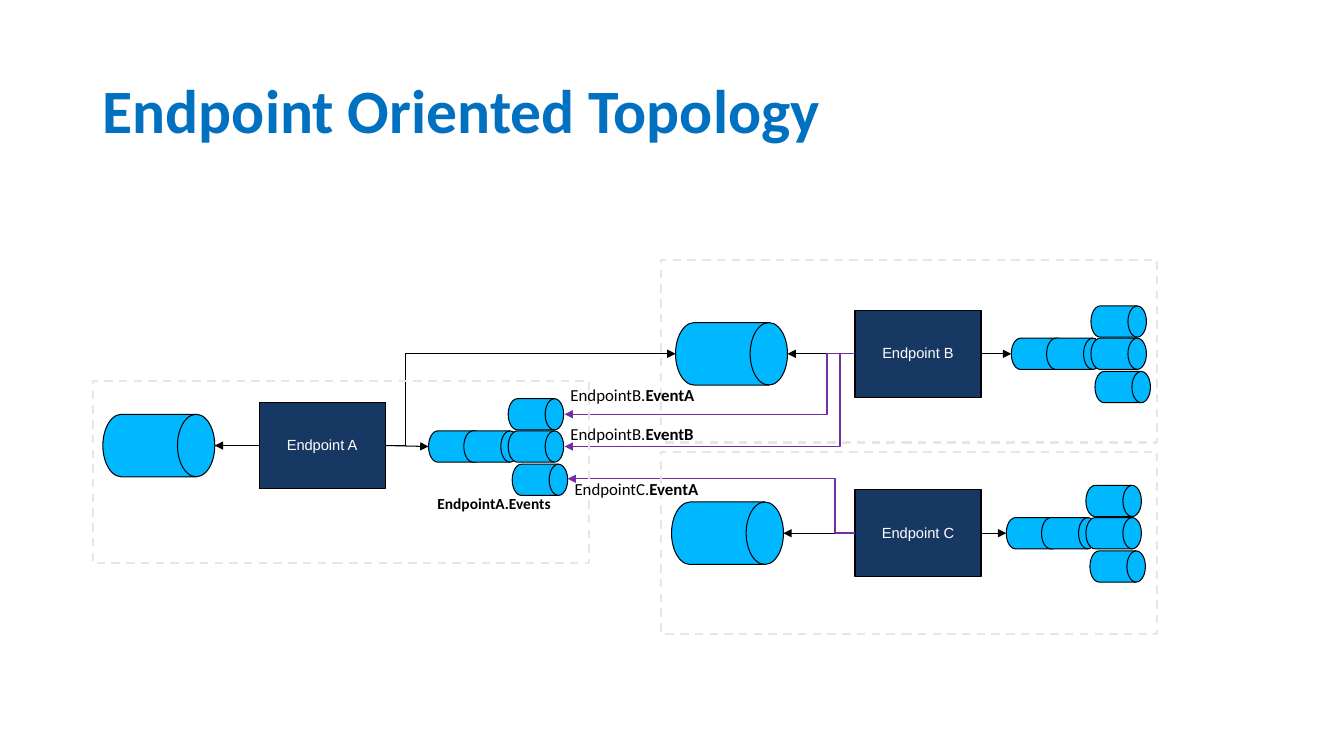
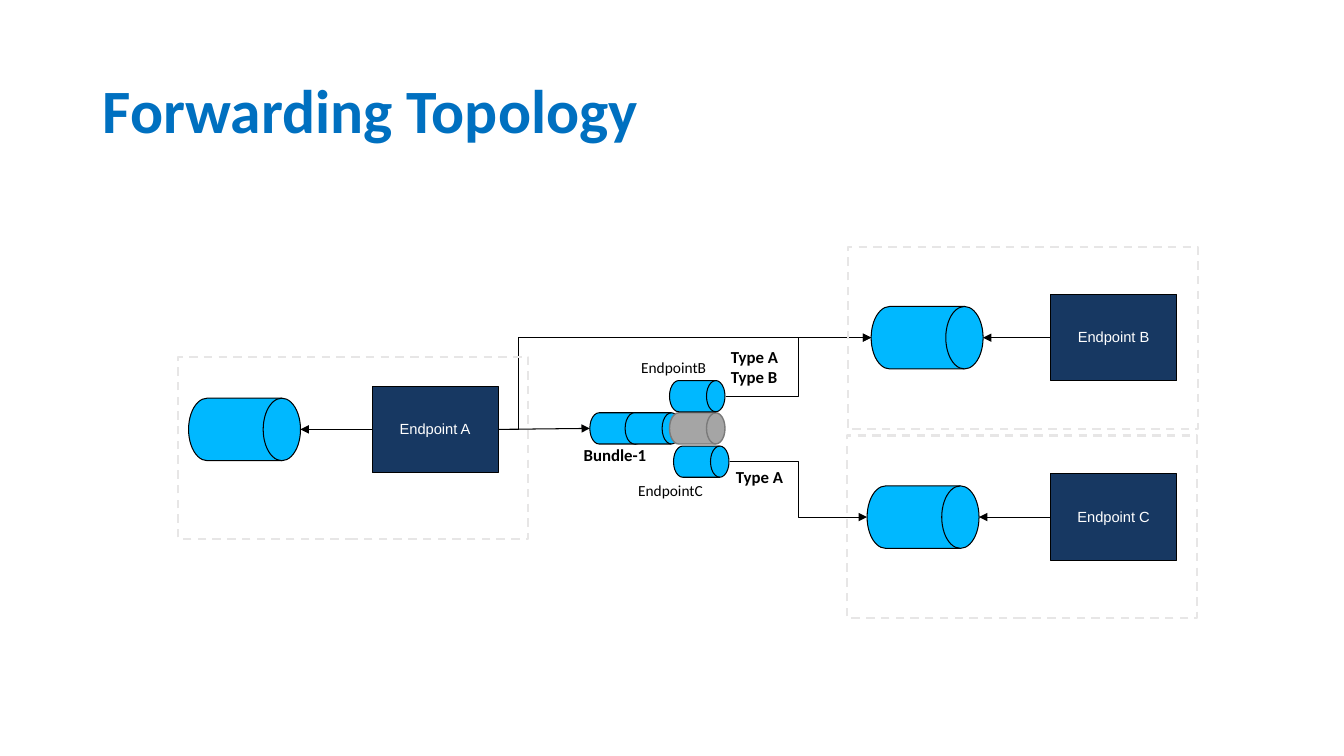
from pptx import Presentation
from pptx.dml.color import RGBColor
from pptx.enum import dml, shapes, text
from pptx.oxml.ns import qn
from pptx.util import Inches, Pt
from lxml import etree

COLORS = {"title": "0070C0", "queue": "00B8FF", "endpoint": "173862", "line": "000000",
          "event": "7030A0", "zone": "E7E6E6", "gray": "A5A5A5", "gray_line": "7A7A7A",
          "white": "FFFFFF"}
RGB = {name: RGBColor.from_string(value) for name, value in COLORS.items()}
BOX_W, BOX_H = 1.25, 0.86
QUEUE_W, QUEUE_H = 1.11, 0.62
DISK_W, DISK_H = 0.55, 0.31
ZONE_H = 1.81
# Left and middle of each disk in a topic, measured from its first disk
TOPIC = [(0, 0), (0.35, 0), (0.83, 0.33), (0.79, 0), (0.79, -0.32)]

SLIDES = [
    {"title": "Endpoint Oriented Topology",
     "zone_w": 4.92,
     # name, box left, middle, queue left, zone left, zone top
     "endpoints": [("Endpoint C", 8.48, 5.29, 6.66, 6.56, 4.48),
                   ("Endpoint B", 8.48, 3.51, 6.7, 6.56, 2.58),
                   ("Endpoint A", 2.57, 4.42, 1.02, 0.92, 3.78)],
     # left, middle, index of the gray disk
     "topics": [(4.25, 4.43, None), (10.03, 3.51, None), (9.98, 5.29, None)],
     # from x, from y, to x, to y, x of the bend, colour
     "arrows": [(3.82, 4.42, 6.7, 3.51, 4.02, "line"),
                (3.82, 4.42, 4.25, 4.43, None, "line"),
                (9.73, 3.51, 10.03, 3.51, None, "line"),
                (9.73, 5.29, 9.98, 5.29, None, "line"),
                (8.48, 3.51, 5.6, 4.11, 8.2, "event"),
                (8.48, 5.29, 5.63, 4.75, 8.28, "event"),
                (8.48, 3.51, 5.6, 4.43, 8.33, "event")],
     # plain part, bold part, size, left, top, width, height
     "labels": [("EndpointC.", "EventA", 12, 5.6, 4.7, 1.5, 0.3),
                ("EndpointB.", "EventA", 12, 5.56, 3.77, 1.5, 0.3),
                ("EndpointB.", "EventB", 12, 5.56, 4.15, 1.5, 0.3),
                ("", "EndpointA.Events", 11, 4.24, 4.85, 1.4, 0.29)]},
    {"title": "Forwarding Topology",
     "zone_w": 3.47,
     "endpoints": [("Endpoint C", 10.42, 5.13, 8.6, 8.4, 4.32),
                   ("Endpoint B", 10.42, 3.35, 8.64, 8.41, 2.45),
                   ("Endpoint A", 3.69, 4.26, 1.87, 1.77, 3.54)],
     "topics": [(5.85, 4.25, 3)],
     "arrows": [(4.94, 4.26, 8.64, 3.35, 5.14, "line"),
                (4.94, 4.26, 5.85, 4.25, None, "line"),
                (7.2, 3.93, 8.64, 3.35, 7.92, "line"),
                (7.24, 4.58, 8.6, 5.13, 7.92, "line")],
     "labels": [("", "Type A", 12, 7.2, 4.58, 0.75, 0.3),
                ("", "Type A\nType B", 12, 7.15, 3.39, 0.91, 0.5),
                ("EndpointB", "", 11, 6.26, 3.5, 1, 0.29),
                ("EndpointC", "", 11, 6.23, 4.72, 1, 0.29),
                ("", "Bundle-1", 12, 5.69, 4.36, 0.87, 0.3)]},
]


def add_box(parent, x, middle, w, h, fill, line="line", width=0.75, disk=False):
    """Add a rectangle, or a disk lying on its side, by its visible left and middle."""
    if disk:
        x, w, h = x + (w - h) / 2, h, w
    kind = shapes.MSO_SHAPE.FLOWCHART_MAGNETIC_DISK if disk else shapes.MSO_SHAPE.RECTANGLE
    sp = parent.add_shape(kind, Inches(x), Inches(middle - h / 2), Inches(w), Inches(h))
    sp.rotation = 90 if disk else 0
    sp.shadow.inherit = False
    if fill:
        sp.fill.solid()
        sp.fill.fore_color.rgb = RGB[fill]
    else:
        sp.fill.background()
    sp.line.color.rgb = RGB[line]
    sp.line.width = Pt(width)
    return sp


def add_arrow(slide, x1, y1, x2, y2, bend=None, color="line"):
    """Add an arrow, straight or with its vertical part at x = bend."""
    kind = shapes.MSO_CONNECTOR.ELBOW if bend else shapes.MSO_CONNECTOR.STRAIGHT
    c = slide.shapes.add_connector(kind, Inches(x1), Inches(y1), Inches(x2), Inches(y2))
    c.line.color.rgb = RGB[color]
    c.line.width = Pt(1 if color == "event" else 0.75)
    etree.SubElement(c.get_or_add_ln(), qn("a:tailEnd"), type="triangle")
    sp_pr = c.get_or_add_ln().getparent()
    etree.SubElement(sp_pr, qn("a:effectLst"))
    if bend:
        adjust = round((bend - x1) / (x2 - x1) * 100000)
        av_list = sp_pr.find(qn("a:prstGeom")).find(qn("a:avLst"))
        etree.SubElement(av_list, qn("a:gd"), name="adj1", fmla=f"val {adjust}")


prs = Presentation()
prs.slide_width, prs.slide_height = Inches(13.33), Inches(7.5)

for data in SLIDES:
    s = prs.slides.add_slide(prs.slide_layouts.get_by_name("Title Only"))
    title = s.shapes.title
    title.left, title.top = Inches(0.92), Inches(0.4)
    title.width, title.height = Inches(11.5), Inches(1.45)
    title.text_frame.text = data["title"]
    title.text_frame.vertical_anchor = text.MSO_ANCHOR.MIDDLE
    p = title.text_frame.paragraphs[0]
    p.alignment = text.PP_ALIGN.LEFT
    p.line_spacing = 0.9
    font = p.runs[0].font
    font.name, font.size, font.bold = "Calibri", Pt(44), True
    font.color.rgb = RGB["title"]

    for name, x, middle, queue_x, zone_x, zone_y in data["endpoints"]:
        add_box(s.shapes, queue_x, middle, QUEUE_W, QUEUE_H, "queue", disk=True)
        box = add_box(s.shapes, x, middle, BOX_W, BOX_H, "endpoint")
        box.text_frame.text = name
        box.text_frame.vertical_anchor = text.MSO_ANCHOR.MIDDLE
        p = box.text_frame.paragraphs[0]
        p.alignment = text.PP_ALIGN.CENTER
        p.line_spacing = 0.96
        font = p.runs[0].font
        font.name, font.size = "Arial", Pt(10.5)
        font.color.rgb = RGB["white"]
        add_arrow(s, x, middle, queue_x + QUEUE_W, middle)

    for x, middle, gray in data["topics"]:
        group = s.shapes.add_group_shape()
        for i, (dx, dy) in enumerate(TOPIC):
            style = ("gray", "gray_line", 1) if i == gray else ("queue",)
            add_box(group.shapes, x + dx, middle + dy, DISK_W, DISK_H, *style, disk=True)

    for arrow in data["arrows"]:
        add_arrow(s, *arrow)

    for *_, zone_x, zone_y in data["endpoints"]:
        zone = add_box(s.shapes, zone_x, zone_y + ZONE_H / 2, data["zone_w"], ZONE_H,
                       None, "zone", 1.5)
        zone.line.dash_style = dml.MSO_LINE.DASH

    for plain, strong, size, *at in data["labels"]:
        tf = s.shapes.add_textbox(*map(Inches, at)).text_frame
        tf.word_wrap = True
        tf.auto_size = text.MSO_AUTO_SIZE.SHAPE_TO_FIT_TEXT
        tf.text = strong if not plain else plain
        if plain and strong:
            tf.paragraphs[0].add_run().text = strong
        for p in tf.paragraphs:
            for r in p.runs:
                r.font.name, r.font.size = "Calibri", Pt(size)
                r.font.bold = r.text != plain
                r.font.color.rgb = RGB["line"]

prs.save("out.pptx")
